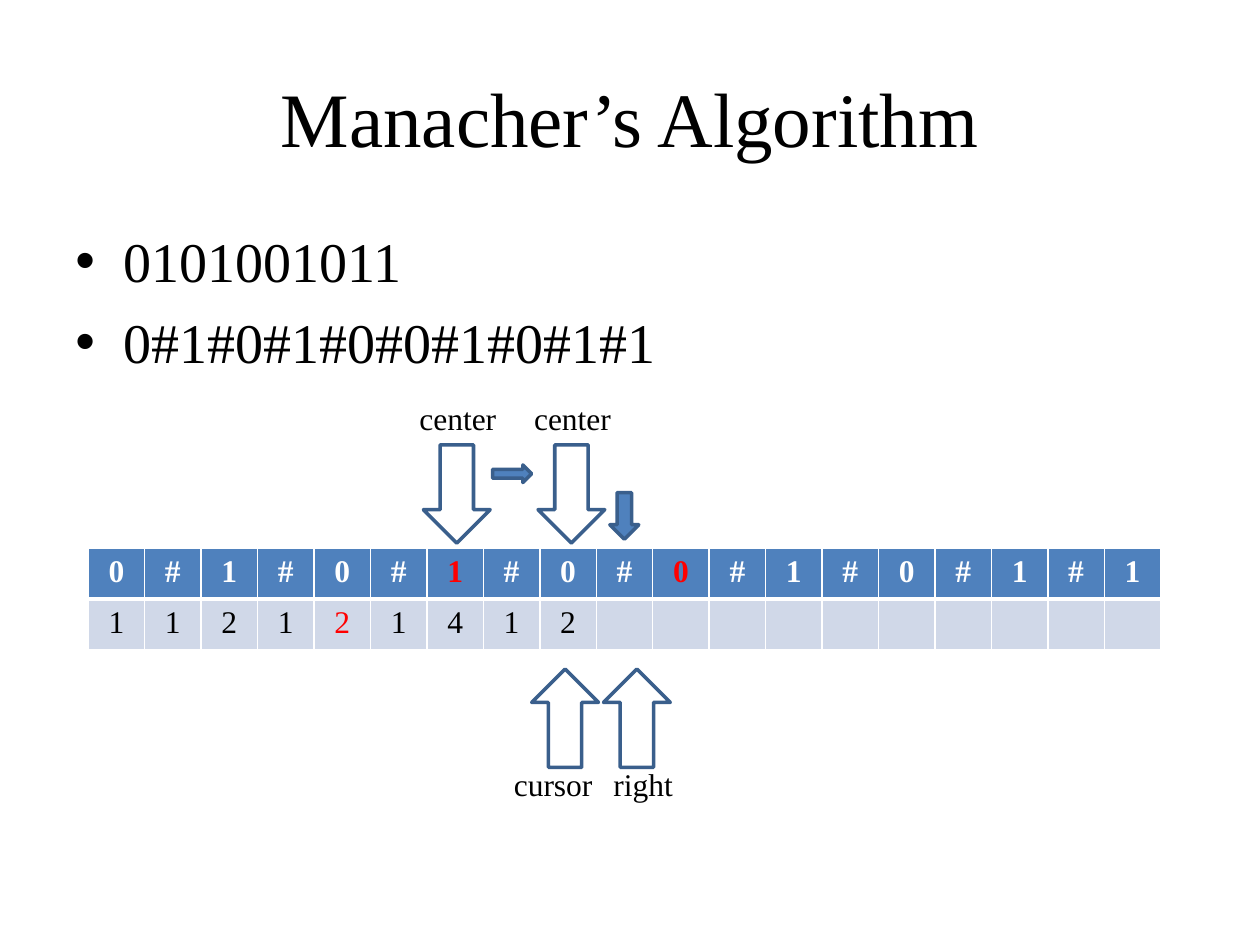
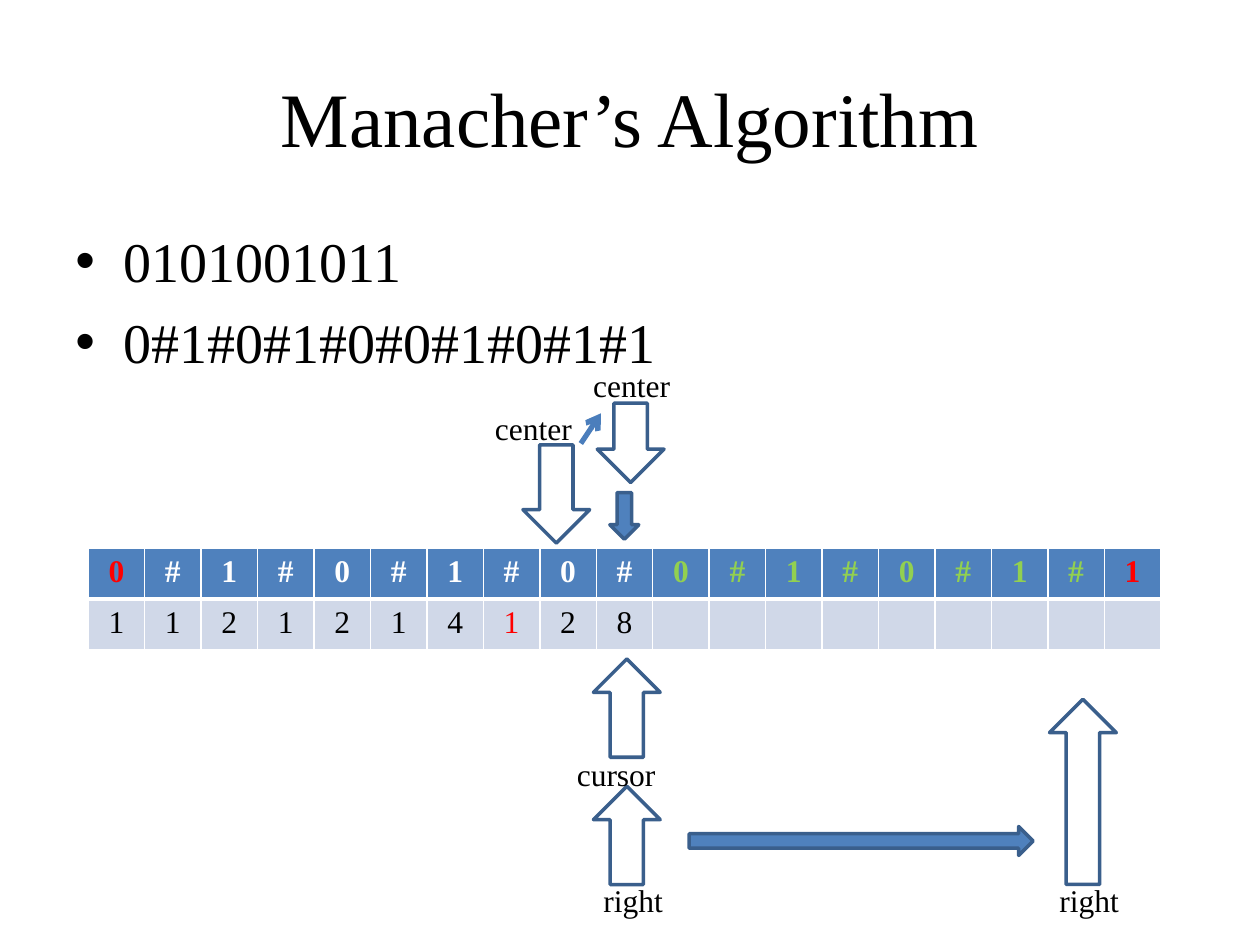
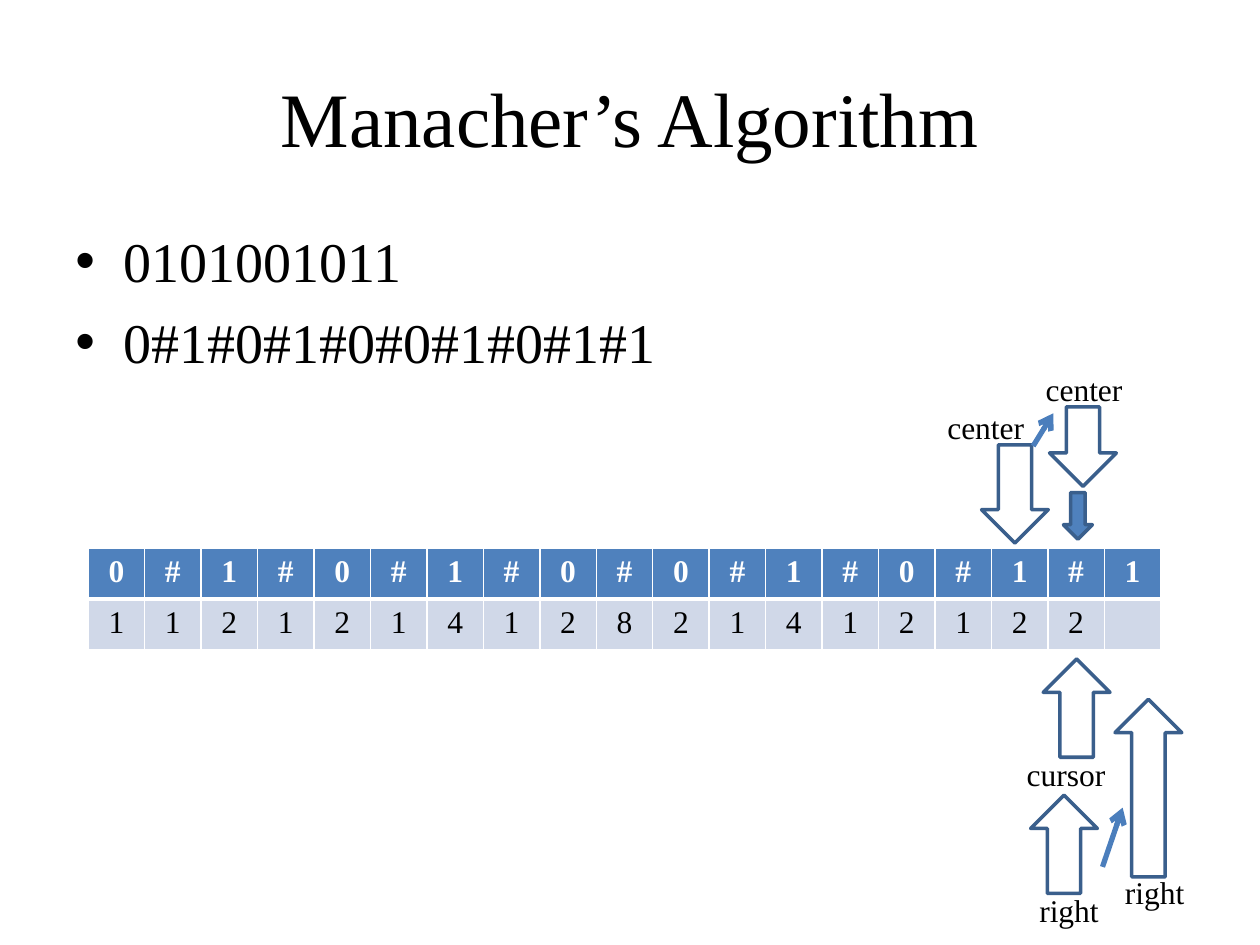
from pptx import Presentation
from pptx.dml.color import RGBColor
from pptx.enum.shapes import MSO_CONNECTOR, MSO_SHAPE
from pptx.enum.text import MSO_ANCHOR, MSO_AUTO_SIZE, PP_ALIGN
from pptx.oxml import parse_xml
from pptx.oxml.ns import nsdecls
from pptx.util import Inches, Pt

BLUE, PALE, EDGE, LINK = "4F81BD", "D0D8E8", "3A5F8C", "4B7EBC"
WHITE, BLACK, RED, GREEN = "FFFFFF", "000000", "FF0000", "92D050"
WORD = "0101001011"
JOINED = "#".join(WORD)
WIDTHS = {"cursor": 0.83, "right": 0.68, "center": 0.82}
ARROWS = {
    "up": (MSO_SHAPE.UP_ARROW, WHITE, 0),
    "flip": (MSO_SHAPE.UP_ARROW, WHITE, 180),
    "down": (MSO_SHAPE.DOWN_ARROW, BLUE, 0),
    "across": (MSO_SHAPE.RIGHT_ARROW, BLUE, 0),
}

STEPS = [
    {
        "counts": "112121412",
        "tints": {(0, 6): RED, (0, 10): RED, (1, 4): RED},
        "arrows": [
            ("up", 4.22, 5.31, 0.53, 0.78),
            ("up", 4.79, 5.31, 0.53, 0.78),
            ("flip", 4.27, 3.53, 0.53, 0.78),
            ("down", 4.84, 3.91, 0.23, 0.37),
            ("flip", 3.36, 3.53, 0.53, 0.78),
            ("across", 3.91, 3.69, 0.31, 0.14),
        ],
        "labels": [("cursor", 3.98, 6.02), ("right", 4.77, 6.02),
                   ("center", 4.14, 3.12), ("center", 3.23, 3.12)],
        "links": [],
    },
    {
        "counts": "1121214128",
        "tints": {(0, 0): RED, (0, 18): RED, (1, 7): RED,
                  **{(0, col): GREEN for col in range(10, 18)}},
        "arrows": [
            ("flip", 4.15, 3.53, 0.53, 0.78),
            ("down", 4.84, 3.91, 0.23, 0.37),
            ("up", 4.71, 5.23, 0.53, 0.78),
            ("up", 8.33, 5.55, 0.53, 1.47),
            ("up", 4.71, 6.24, 0.53, 0.78),
            ("across", 5.47, 6.56, 2.73, 0.23),
            ("flip", 4.74, 3.2, 0.53, 0.63),
        ],
        "labels": [("center", 3.83, 3.2), ("cursor", 4.48, 5.94),
                   ("right", 8.31, 6.94), ("right", 4.69, 6.94),
                   ("center", 4.61, 2.86)],
        "links": [(4.61, 3.52, 4.77, 3.28)],
    },
    {
        "counts": "112121412821412122"[:10] + "21412122",
        "tints": {},
        "arrows": [
            ("up", 8.28, 5.23, 0.53, 0.78),
            ("up", 8.18, 6.31, 0.53, 0.78),
            ("down", 8.44, 3.91, 0.23, 0.37),
            ("flip", 7.79, 3.53, 0.53, 0.78),
            ("flip", 8.33, 3.23, 0.53, 0.63),
            ("up", 8.85, 5.55, 0.53, 1.41),
        ],
        "labels": [("cursor", 8.05, 5.94), ("right", 8.15, 7.02),
                   ("center", 7.42, 3.19), ("center", 8.2, 2.89),
                   ("right", 8.83, 6.88)],
        "links": [(8.2, 3.54, 8.36, 3.28), (8.75, 6.88, 8.91, 6.41)],
    },
]


def tone(code):
    return RGBColor.from_string(code)


def style(para, size, code=BLACK, bold=False):
    for run in para.runs:
        run.font.name = "Times New Roman"
        run.font.size = Pt(size)
        run.font.bold = bold
        run.font.color.rgb = tone(code)


deck = Presentation()
deck.slide_width, deck.slide_height = Inches(10), Inches(7.5)

for step in STEPS:
    slide = deck.slides.add_slide(deck.slide_layouts[5])
    shapes = slide.shapes

    title = shapes.title
    title.left, title.top = Inches(0.5), Inches(0.3)
    title.width, title.height = Inches(9), Inches(1.25)
    title.text_frame.text = "Manacher’s Algorithm"
    title.text_frame.vertical_anchor = MSO_ANCHOR.MIDDLE
    title.text_frame.paragraphs[0].alignment = PP_ALIGN.CENTER
    style(title.text_frame.paragraphs[0], 44)

    body = shapes.add_textbox(Inches(0.5), Inches(1.75), Inches(9), Inches(4.95))
    body.text_frame.word_wrap = True
    body.text_frame.text = f"{WORD}\n{JOINED}"
    for para in body.text_frame.paragraphs:
        props = para._p.get_or_add_pPr()
        props.set("marL", str(Inches(0.38)))
        props.set("indent", str(Inches(-0.38)))
        props.append(parse_xml(f'<a:buFont {nsdecls("a")} typeface="Arial"/>'))
        props.append(parse_xml(f'<a:buChar {nsdecls("a")} char="•"/>'))
        style(para, 32)
    body.text_frame.paragraphs[1].space_before = Pt(8)

    table = shapes.add_table(2, len(JOINED), Inches(0.7), Inches(4.35),
                             Inches(8.52), Inches(0.81)).table
    for col in table.columns:
        col.width = Inches(8.52 / len(JOINED))
    rows = [(JOINED, BLUE, WHITE, True), (step["counts"], PALE, BLACK, False)]
    for row, (marks, fill, ink, bold) in enumerate(rows):
        for col in range(len(JOINED)):
            cell = table.cell(row, col)
            cell.fill.solid()
            cell.fill.fore_color.rgb = tone(fill)
            para = cell.text_frame.paragraphs[0]
            para.alignment = PP_ALIGN.CENTER
            if col < len(marks):
                para.text = marks[col]
                style(para, 18, step["tints"].get((row, col), ink), bold)
            for spot, side in enumerate("LRTB"):
                wide = 3 if (row, side) in [(0, "B"), (1, "T")] else 1
                cell._tc.get_or_add_tcPr().insert(spot, parse_xml(
                    f'<a:ln{side} {nsdecls("a")} w="{Pt(wide)}"><a:solidFill>'
                    f'<a:srgbClr val="{WHITE}"/></a:solidFill></a:ln{side}>'))

    for kind, left, top, wide, high in step["arrows"]:
        form, fill, turn = ARROWS[kind]
        arrow = shapes.add_shape(form, Inches(left), Inches(top),
                                 Inches(wide), Inches(high))
        arrow.rotation = turn
        arrow.shadow.inherit = False
        arrow.fill.solid()
        arrow.fill.fore_color.rgb = tone(fill)
        arrow.line.color.rgb = tone(EDGE)
        arrow.line.width = Pt(2)

    for text, left, top in step["labels"]:
        label = shapes.add_textbox(Inches(left), Inches(top),
                                   Inches(WIDTHS[text]), Inches(0.4))
        label.text_frame.word_wrap = False
        label.text_frame.auto_size = MSO_AUTO_SIZE.SHAPE_TO_FIT_TEXT
        label.text_frame.text = text
        style(label.text_frame.paragraphs[0], 18)

    for ends in step["links"]:
        link = shapes.add_connector(MSO_CONNECTOR.STRAIGHT, *map(Inches, ends))
        link.line.color.rgb = tone(LINK)
        link.line.width = Pt(3)
        link.line._get_or_add_ln().append(
            parse_xml(f'<a:tailEnd {nsdecls("a")} type="arrow"/>'))
        link._element.spPr.append(parse_xml(f'<a:effectLst {nsdecls("a")}/>'))

deck.save("out.pptx")
